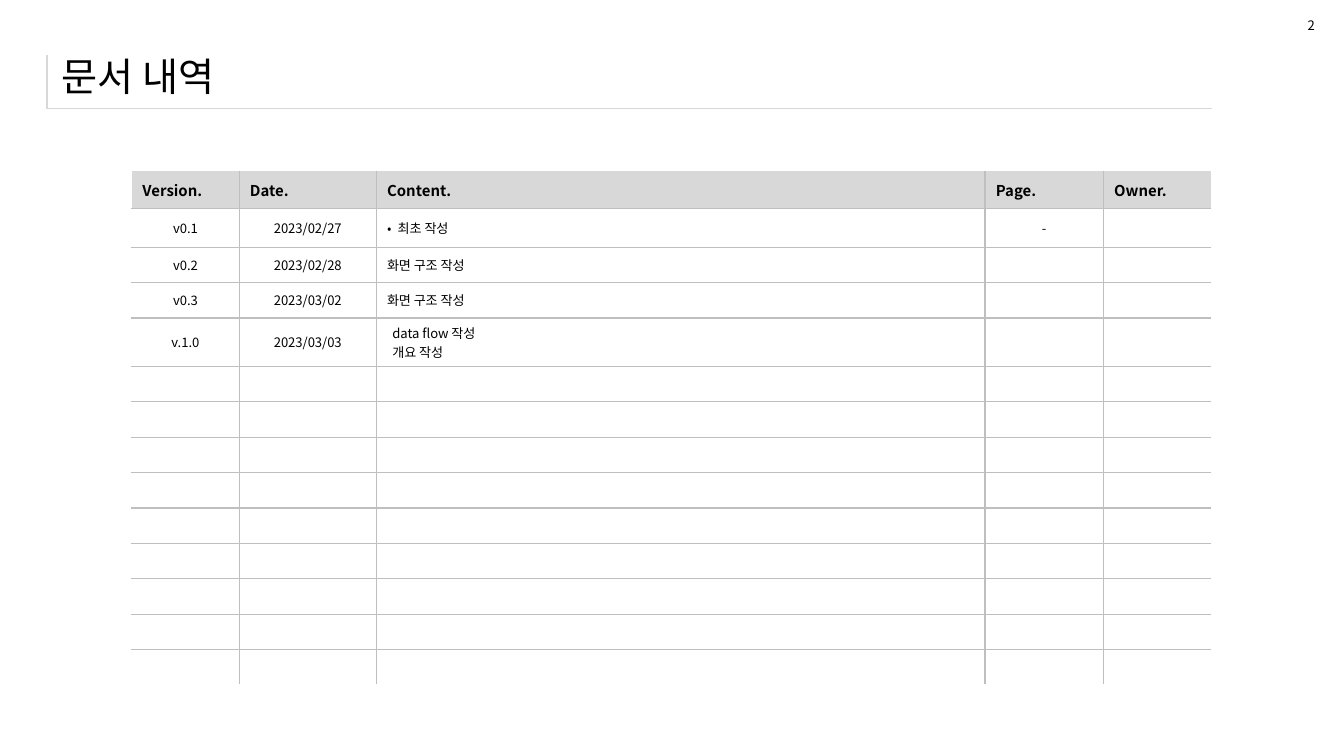
from pptx import Presentation
from pptx.dml.color import RGBColor
from pptx.enum.text import MSO_ANCHOR, PP_ALIGN
from pptx.oxml.ns import qn
from pptx.util import Inches, Pt
from lxml import etree

MIDDLE, TOP = MSO_ANCHOR.MIDDLE, MSO_ANCHOR.TOP
LEFT, CENTER = PP_ALIGN.LEFT, PP_ALIGN.CENTER

THEME = {
    "font": "Noto Sans CJK KR",
    "text": "000000", "paper": "FFFFFF", "header": "D8D8D8", "grid": "BFBFBF",
    "title_size": 21, "header_size": 8, "body_size": 7,
}
SLIDE_WIDTH = 10
SLIDE_HEIGHT = SLIDE_WIDTH * 9 / 16
TITLE = "문서 내역"
PAGE_NUMBER = "2"
HEADINGS = ["Version.", "Date.", "Content.", "Page.", "Owner."]
ALIGNMENTS = [CENTER, CENTER, LEFT, CENTER, LEFT]
HISTORY = [
    ["v0.1", "2023/02/27", "최초 작성", "-", ""],
    ["v0.2", "2023/02/28", "화면 구조 작성", "", ""],
    ["v0.3", "2023/03/02", "화면 구조 작성", "", ""],
    ["v.1.0", "2023/03/03", "data flow 작성\n개요 작성", "", ""],
]
BLANK_ROWS = 9
COLUMNS = [0.8, 1.02, 4.53, 0.88, 0.8]
CONTENT_COLUMN = 2
TABLE_LEFT, TABLE_TOP, TABLE_HEIGHT = 0.98, 1.27, 3.83
SPECIAL_HEIGHTS = {0: 0.28, 1: 0.29, 4: 0.36}
INDENTS = {1: (0.08, -0.09, "•"), 4: (0.08, -0.04, None)}
TEXT_BOX_SIDE, CELL_SIDE, MARGIN_TOP = 0.07, 0.08, 0.04

GRID_LINE = (THEME["grid"], 0.75)
WHITE_LINE = (THEME["paper"], 1)
RULE_LINE = (THEME["header"], 0.75)


def style_text(text_frame, text, size, bold=False, alignment=LEFT):
    text_frame.text = text
    for paragraph in text_frame.paragraphs:
        paragraph.alignment = alignment
        for run in paragraph.runs:
            run.font.name = THEME["font"]
            run.font.size = Pt(size)
            run.font.bold = bold
            run.font.color.rgb = RGBColor.from_string(THEME["text"])
            east_asian = etree.SubElement(run.font._element, qn("a:ea"))
            east_asian.set("typeface", THEME["font"])
        if not paragraph.runs:
            ending = etree.SubElement(paragraph._p, qn("a:endParaRPr"))
            ending.set("sz", str(size * 100))


def indent(text_frame, margin, first_line, bullet):
    for paragraph in text_frame.paragraphs:
        properties = paragraph._p.get_or_add_pPr()
        properties.set("marL", str(Inches(margin)))
        properties.set("indent", str(Inches(first_line)))
        if bullet:
            font = etree.SubElement(properties, qn("a:buFont"))
            font.set("typeface", THEME["font"])
            etree.SubElement(properties, qn("a:buChar")).set("char", bullet)


def set_margins(target, side):
    target.margin_left = target.margin_right = Inches(side)
    target.margin_top = target.margin_bottom = Inches(MARGIN_TOP)


def style_cell(cell, fill, borders):
    set_margins(cell, CELL_SIDE)
    cell.vertical_anchor = MIDDLE
    properties = cell._tc.get_or_add_tcPr()
    for side in "LRTB":
        line = etree.SubElement(properties, qn(f"a:ln{side}"))
        if side in borders:
            color, width = borders[side]
            line.set("w", str(Pt(width)))
            solid = etree.SubElement(line, qn("a:solidFill"))
            etree.SubElement(solid, qn("a:srgbClr")).set("val", color)
        else:
            etree.SubElement(line, qn("a:noFill"))
    cell.fill.solid()
    cell.fill.fore_color.rgb = RGBColor.from_string(fill)


def add_plain_table(slide, left, top, widths, heights):
    box = [Inches(value) for value in (left, top, sum(widths), sum(heights))]
    table = slide.shapes.add_table(len(heights), len(widths), *box).table
    table.first_row = table.horz_banding = False
    for column, width in zip(table.columns, widths):
        column.width = Inches(width)
    for row, height in zip(table.rows, heights):
        row.height = Inches(height)
    return table


def add_text(slide, box, text, size, anchor):
    shape = slide.shapes.add_textbox(*[Inches(value) for value in box])
    text_frame = shape.text_frame
    text_frame.word_wrap = True
    text_frame.vertical_anchor = anchor
    set_margins(text_frame, TEXT_BOX_SIDE)
    style_text(text_frame, text, size)


def add_title(slide):
    rule = add_plain_table(slide, 0.35, 0.41, [8.67], [0.4]).cell(0, 0)
    style_text(rule.text_frame, "", THEME["body_size"])
    style_cell(rule, THEME["paper"], {"L": RULE_LINE, "B": RULE_LINE})
    add_text(slide, (0.39, 0.33, 9.37, 0.47), TITLE, THEME["title_size"], MIDDLE)


def add_history(slide):
    rows = [HEADINGS] + HISTORY + [[""] * len(COLUMNS)] * BLANK_ROWS
    shared = TABLE_HEIGHT - sum(SPECIAL_HEIGHTS.values())
    plain_height = shared / (len(rows) - len(SPECIAL_HEIGHTS))
    heights = [SPECIAL_HEIGHTS.get(index, plain_height) for index in range(len(rows))]
    table = add_plain_table(slide, TABLE_LEFT, TABLE_TOP, COLUMNS, heights)
    for row_index, row in enumerate(rows):
        heading = row_index == 0
        size = THEME["header_size" if heading else "body_size"]
        fill = THEME["header" if heading else "paper"]
        for column_index, text in enumerate(row):
            cell = table.cell(row_index, column_index)
            alignment = LEFT if heading else ALIGNMENTS[column_index]
            style_text(cell.text_frame, text, size, heading, alignment)
            borders = {
                "L": GRID_LINE if column_index else WHITE_LINE,
                "B": GRID_LINE if row_index < len(rows) - 1 else WHITE_LINE,
            }
            if not heading:
                borders["T"] = GRID_LINE
            if column_index < len(COLUMNS) - 1:
                borders["R"] = GRID_LINE
            style_cell(cell, fill, borders)
    for row_index, settings in INDENTS.items():
        indent(table.cell(row_index, CONTENT_COLUMN).text_frame, *settings)


def main():
    presentation = Presentation()
    presentation.slide_width = Inches(SLIDE_WIDTH)
    presentation.slide_height = Inches(SLIDE_HEIGHT)
    slide = presentation.slides.add_slide(presentation.slide_layouts[6])
    add_title(slide)
    add_history(slide)
    add_text(slide, (9.66, 0.09, 0.2, 0.19), PAGE_NUMBER, THEME["body_size"], TOP)
    presentation.save("out.pptx")


if __name__ == "__main__":
    main()
